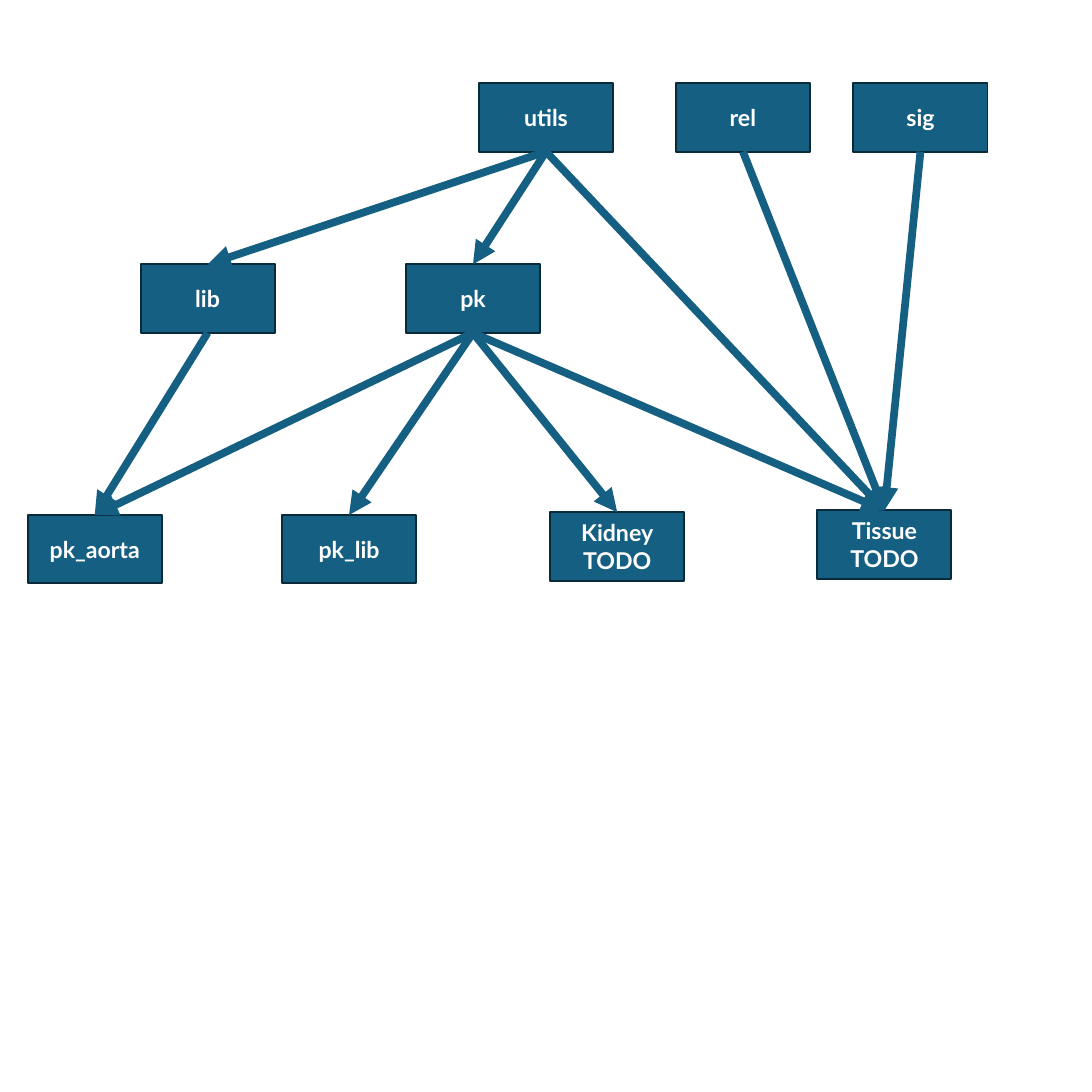
import pptx
import pptx.dml.color
import pptx.enum.shapes
import pptx.enum.text
import pptx.util
from lxml import etree
from pptx.oxml.ns import qn
from pptx.util import Inches, Pt

# name: (left, top, lines of text)
MODULES = {
    "utils": (5.18, 0.9, ["utils"]),
    "rel": (7.31, 0.9, ["rel"]),
    "sig": (9.23, 0.9, ["sig"]),
    "lib": (1.52, 2.86, ["lib"]),
    "pk": (4.39, 2.86, ["pk"]),
    "pk_aorta": (0.3, 5.57, ["pk_aorta"]),
    "pk_lib": (3.05, 5.57, ["pk_lib"]),
    "kidney": (5.95, 5.54, ["Kidney", "TODO"]),
    "tissue": (8.84, 5.52, ["Tissue", "TODO"]),
}
DEPENDENTS = {
    "utils": ["pk", "lib", "tissue"],
    "pk": ["pk_lib", "pk_aorta", "kidney", "tissue"],
    "lib": ["pk_aorta"],
    "sig": ["tissue"],
    "rel": ["tissue"],
}

SLIDE_SIZE = 11.81
BOX_WIDTH, BOX_HEIGHT = 1.45, 0.74
TOP_SITE, BOTTOM_SITE = 0, 2
FONT = "Lato"
BLUE = pptx.dml.color.RGBColor(0x15, 0x60, 0x82)
NAVY = pptx.dml.color.RGBColor(0x09, 0x2A, 0x39)
WHITE = pptx.dml.color.RGBColor(0xFF, 0xFF, 0xFF)


def add_module(slide, left, top, lines):
    shape = slide.shapes.add_shape(
        pptx.enum.shapes.MSO_SHAPE.RECTANGLE,
        Inches(left), Inches(top), Inches(BOX_WIDTH), Inches(BOX_HEIGHT))
    shape.shadow.inherit = False
    shape.fill.solid()
    shape.fill.fore_color.rgb = BLUE
    shape.line.color.rgb = NAVY
    shape.line.width = Pt(1.5)
    frame = shape.text_frame
    frame.word_wrap = True
    frame.vertical_anchor = pptx.enum.text.MSO_ANCHOR.MIDDLE
    for index, text in enumerate(lines):
        paragraph = frame.add_paragraph() if index else frame.paragraphs[0]
        paragraph.alignment = pptx.enum.text.PP_ALIGN.CENTER
        run = paragraph.add_run()
        run.text = text
        run.font.name = FONT
        run.font.size = Pt(18)
        run.font.bold = True
        run.font.color.rgb = WHITE
    return shape


def add_arrow(slide, source, target):
    """Join the bottom of source to the top of target."""
    connector = slide.shapes.add_connector(
        pptx.enum.shapes.MSO_CONNECTOR.STRAIGHT, 0, 0, 0, 0)
    connector.begin_connect(source, BOTTOM_SITE)
    connector.end_connect(target, TOP_SITE)
    connector.line.color.rgb = BLUE
    connector.line.width = Pt(6)
    properties = connector._element.spPr
    etree.SubElement(properties.find(qn("a:ln")), qn("a:tailEnd"), type="triangle")
    etree.SubElement(properties, qn("a:effectLst"))


def main():
    presentation = pptx.Presentation()
    presentation.slide_width = presentation.slide_height = Inches(SLIDE_SIZE)
    slide = presentation.slides.add_slide(presentation.slide_layouts[6])
    boxes = {name: add_module(slide, *module) for name, module in MODULES.items()}
    for source, targets in DEPENDENTS.items():
        for target in targets:
            add_arrow(slide, boxes[source], boxes[target])
    presentation.save("out.pptx")


if __name__ == "__main__":
    main()
